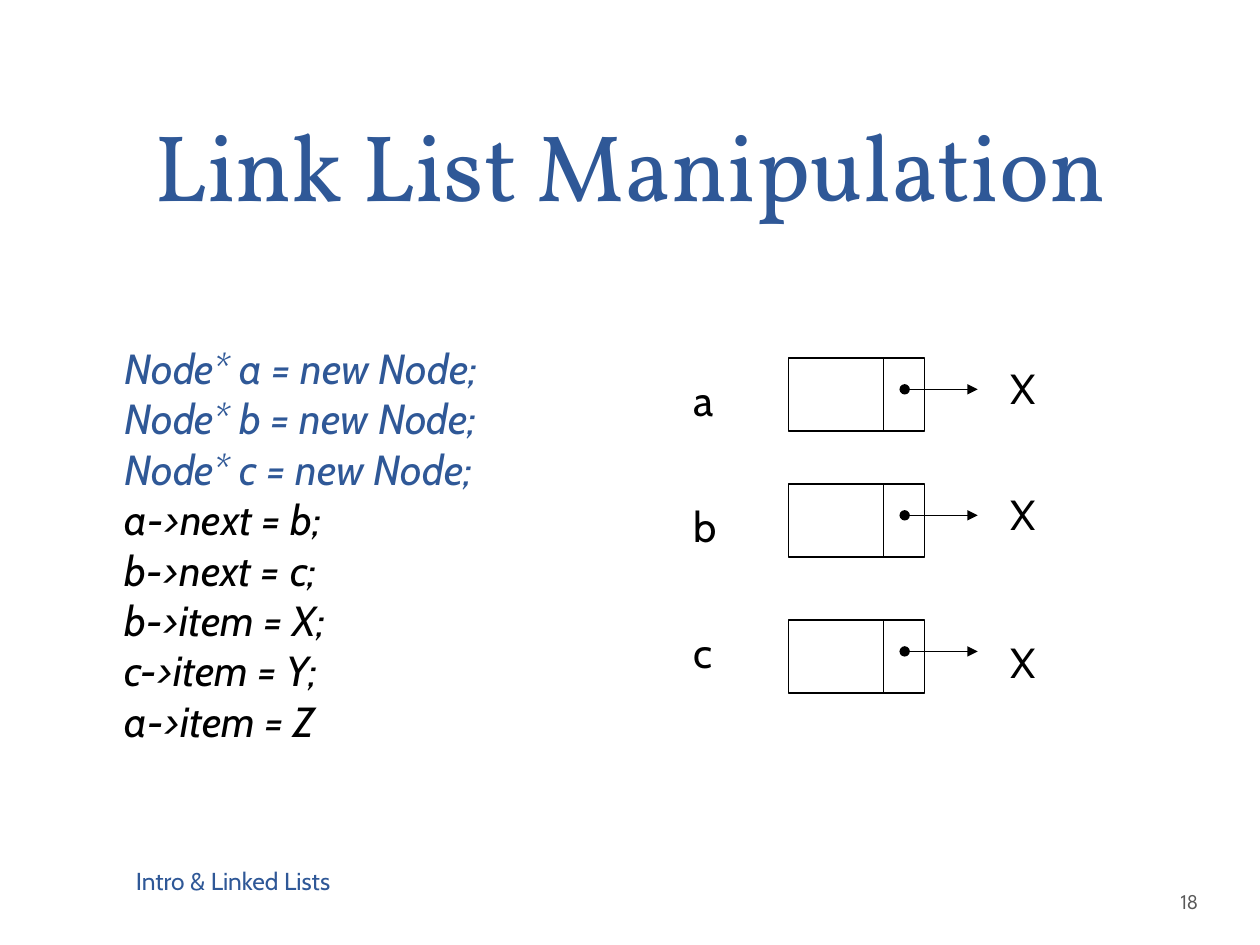
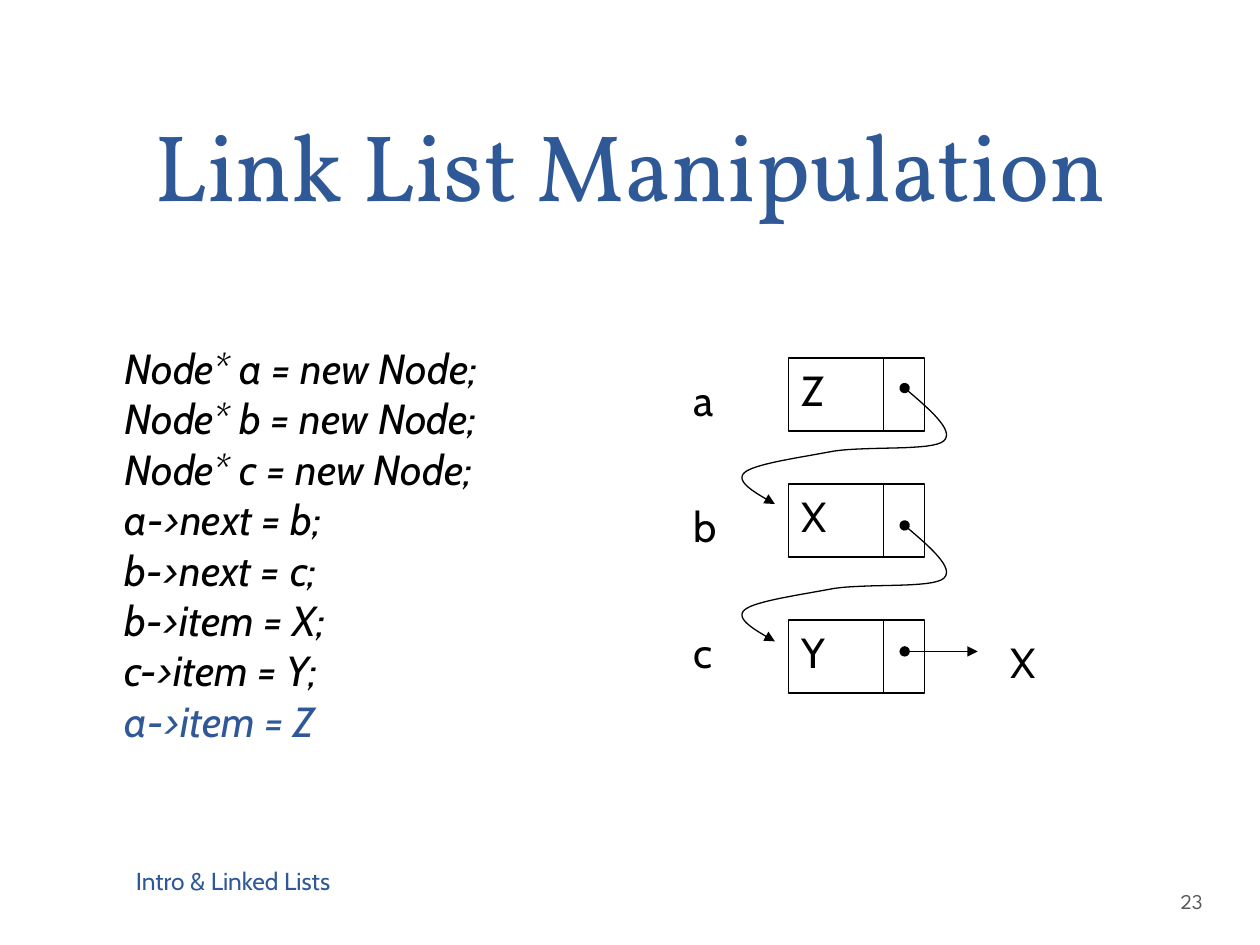
from dataclasses import dataclass
from typing import Sequence

import pptx
import pptx.dml.color
import pptx.enum.shapes
import pptx.enum.text
import pptx.oxml.ns
import pptx.util
from lxml import etree

PX = 9144  # EMU per px, at 100 px to the inch
COLORS = {"accent": "2F5897", "ink": "000000", "muted": "595959"}
BODY_FONT = "Cabin"
ALIGN = pptx.enum.text.PP_ALIGN
ANCHOR = pptx.enum.text.MSO_ANCHOR

CODE = [
    "Node* a = new Node;",
    "Node* b = new Node;",
    "Node* c = new Node;",
    "a->next = b;",
    "b->next = c;",
    "b->item = X;",
    "c->item = Y;",
    "a->item = Z",
]

# Node geometry
NODE_LEFT, NODE_W, NODE_H = 626, 108, 58
DIVIDER_X, DOT_X, ARROW_END_X = 701, 718, 776
ARROW_DY = 25

# Bezier pieces of a link, relative to its dot: two controls and an end
LINK_CURVES = [
    ((20, 17), (40, 34), (31, 42)),
    ((22, 50), (-29, 46), (-56, 50)),
    ((-82, 55), (-119, 60), (-127, 67)),
    ((-135, 74), (-119, 83), (-103, 92)),
]
CURVE_STEPS = 16


@dataclass(frozen=True)
class Node:
    name: str
    top: int
    name_top: int
    target_top: int


@dataclass(frozen=True)
class ListState:
    number: str
    active_lines: range
    items: Sequence[str]
    links: Sequence[int | None]  # dot height of a curved link, None for an X


NODES = [Node("a", 284, 292, 283), Node("b", 384, 392, 383), Node("c", 492, 492, 500)]
STATES = [
    ListState("18", range(0, 3), ("", "", ""), (None, None, None)),
    ListState("23", range(7, 8), ("Z", "X", "Y"), (308, 417, None)),
]


def px(n: float) -> int:
    return round(n * PX)


def rgb(name: str) -> pptx.dml.color.RGBColor:
    return pptx.dml.color.RGBColor.from_string(COLORS[name])


def add_text(s, lines, left: int, top: int, width: int, height: int, *,
             size: int = 24, font: str = BODY_FONT, color: str = "ink",
             italic: bool = False, align=ALIGN.LEFT, anchor=ANCHOR.TOP,
             insets=(10, 5, 10, 5), spacing: int | None = None,
             active: Sequence[int] = ()) -> None:
    """Write one paragraph per line; active lines take the accent colour."""
    tf = s.shapes.add_textbox(px(left), px(top), px(width), px(height)).text_frame
    tf.word_wrap = True
    tf.vertical_anchor = anchor
    tf.margin_left, tf.margin_top, tf.margin_right, tf.margin_bottom = map(px, insets)
    for i, line in enumerate(lines):
        p = tf.paragraphs[0] if i == 0 else tf.add_paragraph()
        p.alignment = align
        if spacing:
            p.line_spacing = pptx.util.Pt(spacing)
        r = p.add_run()
        r.text = line
        r.font.size = pptx.util.Pt(size)
        r.font.name = font
        r.font.italic = italic
        r.font.color.rgb = rgb("accent" if i in active else color)


def style_line(sp, arrow: bool = False) -> None:
    sp.line.color.rgb = rgb("ink")
    sp.line.width = pptx.util.Pt(0.75)
    if arrow:
        ln = sp.line._get_or_add_ln()
        for end, kind in (("a:headEnd", "oval"), ("a:tailEnd", "triangle")):
            etree.SubElement(ln, pptx.oxml.ns.qn(end), type=kind, w="med", len="med")


def add_line(s, x1: int, y1: int, x2: int, y2: int, arrow: bool = False) -> None:
    sp = s.shapes.add_connector(pptx.enum.shapes.MSO_CONNECTOR.STRAIGHT,
                                px(x1), px(y1), px(x2), px(y2))
    style_line(sp, arrow)
    etree.SubElement(sp._element.spPr, pptx.oxml.ns.qn("a:effectLst"))


def add_link(s, dot_y: int) -> None:
    """Draw a curved arrow from a node's dot to the next node."""
    points = [(0, 0)]
    for c1, c2, end in LINK_CURVES:
        start = points[-1]
        for step in range(1, CURVE_STEPS + 1):
            t = step / CURVE_STEPS
            u = 1 - t
            points.append(tuple(
                u**3 * a + 3 * u * u * t * b + 3 * u * t * t * c + t**3 * d
                for a, b, c, d in zip(start, c1, c2, end)))
    path = [(px(DOT_X + x), px(dot_y + y)) for x, y in points]
    builder = s.shapes.build_freeform(*path[0], scale=1.0)
    builder.add_line_segments(path[1:], close=False)
    sp = builder.convert_to_shape()
    sp.shadow.inherit = False
    sp.fill.background()
    style_line(sp, arrow=True)


def add_node(s, node: Node, item: str, link: int | None) -> None:
    sp = s.shapes.add_shape(pptx.enum.shapes.MSO_SHAPE.RECTANGLE,
                            px(NODE_LEFT), px(node.top), px(NODE_W), px(NODE_H))
    sp.shadow.inherit = False
    sp.fill.background()
    style_line(sp)
    add_line(s, DIVIDER_X, node.top, DIVIDER_X, node.top + NODE_H)
    add_text(s, [node.name], 541, node.name_top, 40, 50)
    if item:
        add_text(s, [item], NODE_LEFT, node.top, 48, 50)
    if link is None:
        arrow_y = node.top + ARROW_DY
        add_line(s, DOT_X, arrow_y, ARROW_END_X, arrow_y, arrow=True)
        add_text(s, ["X"], 792, node.target_top, 40, 50)
    else:
        add_link(s, link)


def add_frame(s, number: str) -> None:
    """Title, footer and slide number."""
    add_text(s, ["Link List Manipulation"], 50, 0, 900, 175, size=54, font="Vollkorn",
             color="accent", align=ALIGN.CENTER, anchor=ANCHOR.BOTTOM,
             insets=(0, 0, 0, 0), spacing=58)
    add_text(s, ["Intro & Linked Lists"], 98, 674, 433, 50, size=14, color="accent",
             anchor=ANCHOR.MIDDLE)
    add_text(s, [number], 934, 695, 61, 40, size=12, font="League Spartan",
             color="muted", anchor=ANCHOR.MIDDLE, insets=(3, 5, 5, 5))


def main() -> None:
    prs = pptx.Presentation()
    prs.slide_width, prs.slide_height = px(1000), px(750)
    for state in STATES:
        s = prs.slides.add_slide(prs.slide_layouts[6])
        add_frame(s, state.number)
        add_text(s, CODE, 89, 267, 336, 330, italic=True, active=state.active_lines)
        for node, item, link in zip(NODES, state.items, state.links):
            add_node(s, node, item, link)
    prs.save("out.pptx")


if __name__ == "__main__":
    main()
